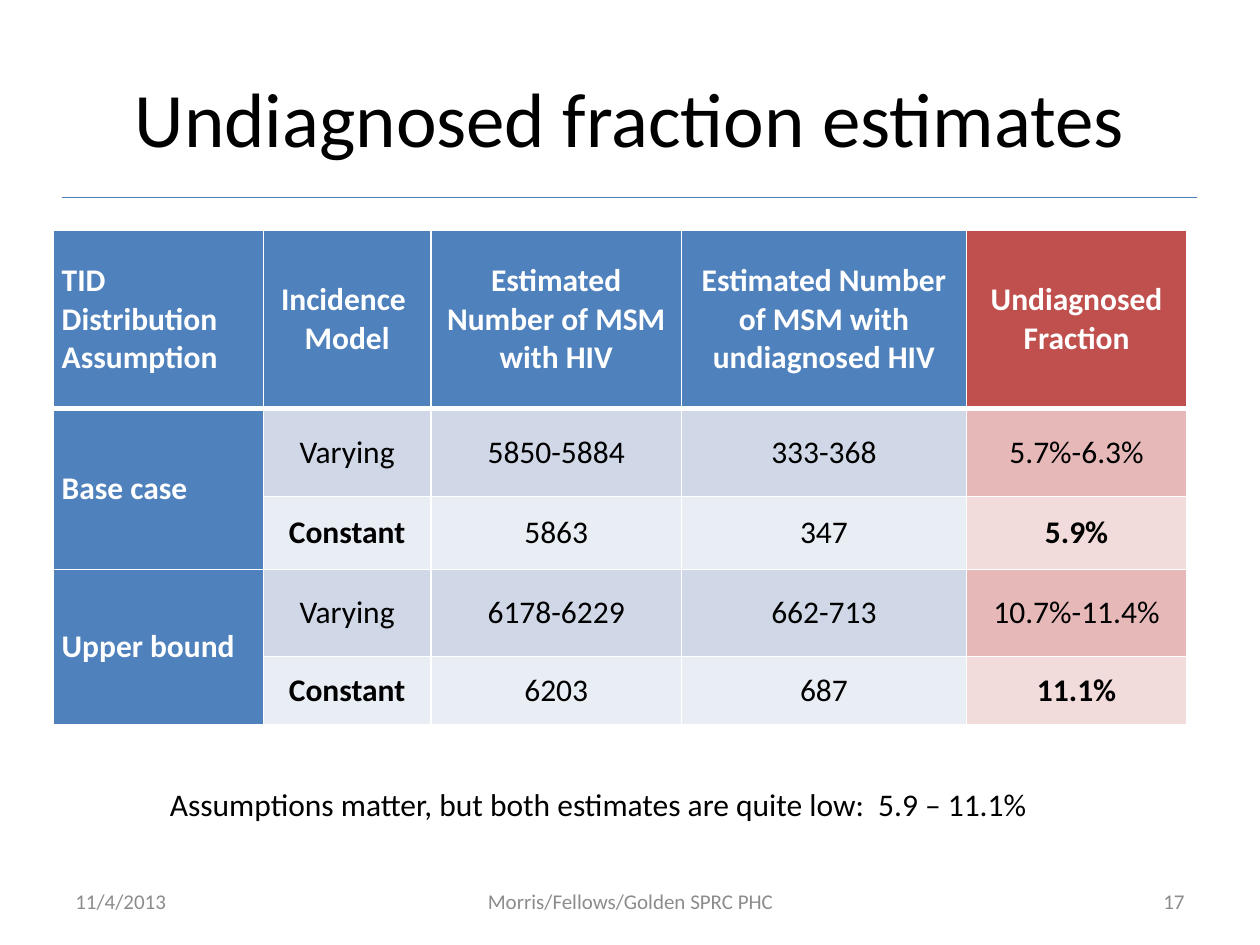
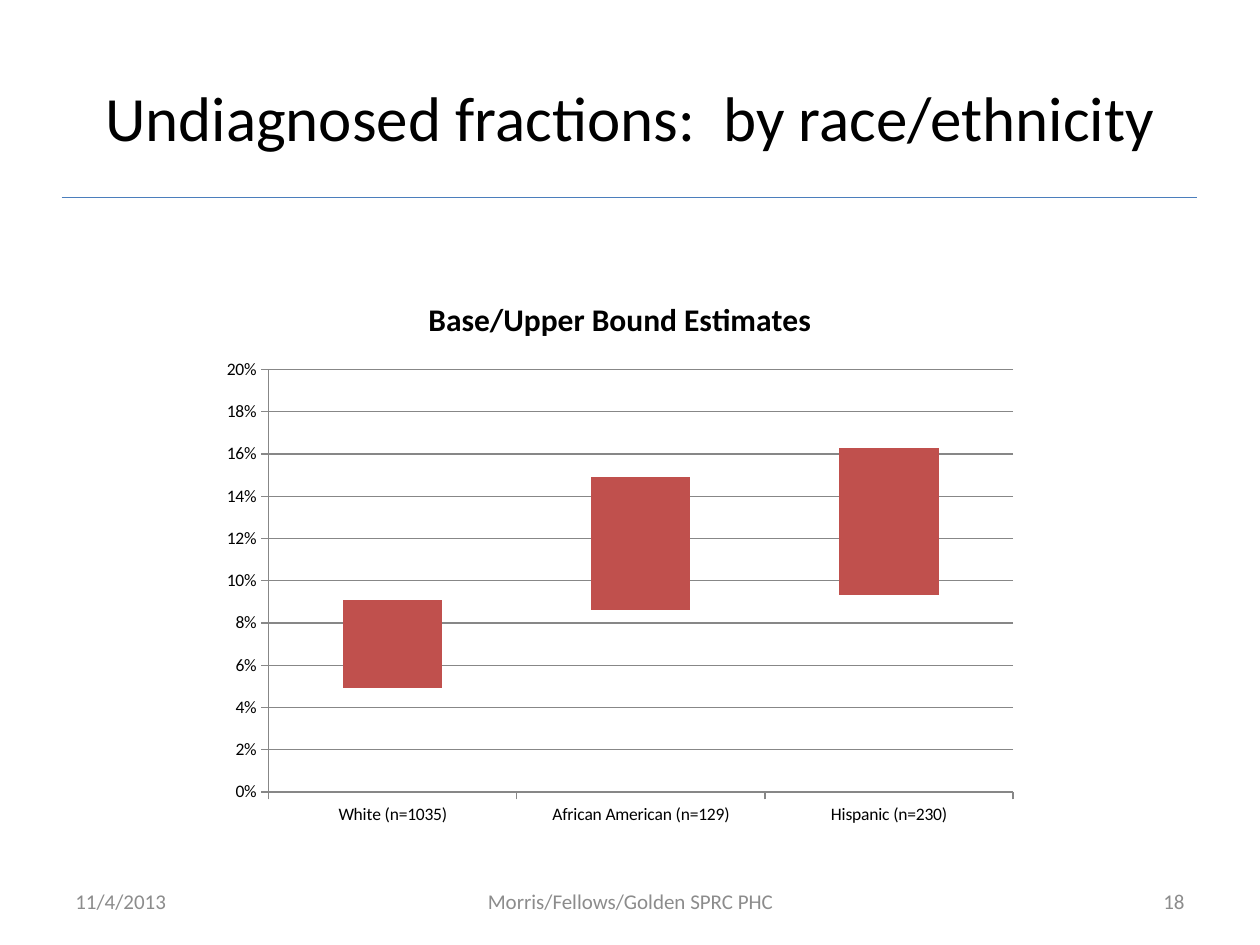
"""Build two slides on undiagnosed fraction estimates."""
import pptx
import pptx.util
import pptx.chart.data
import pptx.dml.color
import pptx.enum.chart
import pptx.enum.shapes
import pptx.enum.text
import pptx.oxml
import pptx.oxml.ns

Inches, Pt = pptx.util.Inches, pptx.util.Pt
RGBColor = pptx.dml.color.RGBColor
Align = pptx.enum.text.PP_ALIGN
Middle = pptx.enum.text.MSO_ANCHOR.MIDDLE
LEFT, MID, RIGHT = Align.LEFT, Align.CENTER, Align.RIGHT

FONT = "Calibri"
BLACK = RGBColor(0, 0, 0)
WHITE = RGBColor(255, 255, 255)
GRAY = RGBColor(0x8C, 0x8C, 0x8C)
GRID = RGBColor(0x87, 0x87, 0x87)
RULE = RGBColor(0x4B, 0x7E, 0xBC)
BLUE = RGBColor(0x4F, 0x81, 0xBD)
RED = RGBColor(0xC0, 0x50, 0x4D)
BANDS = [(RGBColor(0xD0, 0xD8, 0xE8), RGBColor(0xE6, 0xB9, 0xB8)),
         (RGBColor(0xE9, 0xED, 0xF4), RGBColor(0xF2, 0xDC, 0xDB))]

DATE = "11/4/2013"
FOOT = "Morris/Fellows/Golden SPRC PHC"
NOTE = "Assumptions matter, but both estimates are quite low:  5.9 – 11.1%"
ROWS = [
    ("TID Distribution Assumption", "Incidence \nModel",
     "Estimated Number of MSM with HIV",
     "Estimated Number of MSM with undiagnosed HIV", "Undiagnosed Fraction"),
    ("Base case", "Varying", "5850-5884", "333-368", "5.7%-6.3%"),
    ("", "Constant", "5863", "347", "5.9%"),
    ("Upper bound", "Varying", "6178-6229", "662-713", "10.7%-11.4%"),
    ("", "Constant", "6203", "687", "11.1%"),
]
WIDTHS = [1.67, 1.33, 1.99, 2.26, 1.75]
HEIGHTS = [1.41, 0.7, 0.58, 0.69, 0.54]
GROUPS = ["White (n=1035)", "African American (n=129)", "Hispanic (n=230)"]
SERIES = [("Series 1", (0.049, 0.086, 0.093), None),
          ("Series 2", (0.042, 0.063, 0.07), RED),
          ("Series 3", (0.909, 0.851, 0.837), None)]


def style(font, size, color, bold=False):
    font.name, font.size, font.bold = FONT, Pt(size), bold
    font.color.rgb = color


def label(slide, text, box, size, color=BLACK, align=LEFT, anchor=Middle):
    frame = slide.shapes.add_textbox(*map(Inches, box)).text_frame
    frame.word_wrap = True
    frame.vertical_anchor = anchor
    para = frame.paragraphs[0]
    para.text, para.alignment = text, align
    style(para.font, size, color)


def start(deck, title, size, number):
    slide = deck.slides.add_slide(deck.slide_layouts[6])
    line = slide.shapes.add_connector(
        pptx.enum.shapes.MSO_CONNECTOR.STRAIGHT,
        *map(Inches, (0.49, 1.57, 9.5, 1.57)))
    line.line.color.rgb, line.line.width = RULE, Pt(0.75)
    props = line._element.spPr
    props.append(pptx.oxml.parse_xml(
        "<a:effectLst %s/>" % pptx.oxml.ns.nsdecls("a")))
    label(slide, title, (0.5, 0.3, 9, 1.25), size, align=MID)
    for text, left, width, align in [(DATE, 0.5, 2.33, LEFT),
                                     (FOOT, 3.42, 3.17, MID),
                                     (str(number), 7.17, 2.33, RIGHT)]:
        label(slide, text, (left, 6.95, width, 0.4), 12, GRAY, align)
    return slide


def border(cell, side, width):
    cell._tc.get_or_add_tcPr().append(pptx.oxml.parse_xml(
        '<a:ln%s %s w="%d"><a:solidFill><a:srgbClr val="%s"/></a:solidFill>'
        "</a:ln%s>" % (side, pptx.oxml.ns.nsdecls("a"), Pt(width), WHITE,
                       side)))


def paint(cell, row, col, text):
    last = col == len(WIDTHS) - 1
    head = row == 0 or col == 0
    for side in "LRTB":
        thick = (row, side) in [(0, "B"), (1, "T")]
        border(cell, side, 3 if thick else 1)
    cell.fill.solid()
    if head:
        cell.fill.fore_color.rgb = RED if last else BLUE
    else:
        cell.fill.fore_color.rgb = BANDS[(row - 1) % 2][last]
    cell.vertical_anchor = Middle
    cell.margin_left = cell.margin_right = Inches(0.07)
    cell.margin_top = cell.margin_bottom = 0
    cell.text = text
    bold = head or (row % 2 == 0 and (col == 1 or last))
    for para in cell.text_frame.paragraphs:
        para.alignment = MID if col else LEFT
        style(para.font, 18, WHITE if head else BLACK, bold)


def add_grid(slide):
    grid = slide.shapes.add_table(
        len(ROWS), len(WIDTHS), Inches(0.42), Inches(1.83),
        Inches(sum(WIDTHS)), Inches(sum(HEIGHTS))).table
    for col, width in zip(grid.columns, WIDTHS):
        col.width = Inches(width)
    for row, height in zip(grid.rows, HEIGHTS):
        row.height = Inches(height)
    for row, texts in enumerate(ROWS):
        for col, text in enumerate(texts):
            paint(grid.cell(row, col), row, col, text)
    for row in (1, 3):
        grid.cell(row, 0).merge(grid.cell(row + 1, 0))


def add_bars(slide):
    data = pptx.chart.data.CategoryChartData(number_format="0.0%")
    data.categories = GROUPS
    for name, values, color in SERIES:
        data.add_series(name, values)
    chart = slide.shapes.add_chart(
        pptx.enum.chart.XL_CHART_TYPE.COLUMN_STACKED,
        *map(Inches, (1.67, 2.17, 6.5, 4.46)), data).chart
    style(chart.font, 10, BLACK)
    chart.has_legend = False
    chart.has_title = True
    para = chart.chart_title.text_frame.paragraphs[0]
    para.text = "Base/Upper Bound Estimates"
    style(para.font, 18, BLACK, True)
    plot = chart.plots[0]
    plot.gap_width, plot.overlap = 150, 100
    plot.vary_by_categories = False
    for bar, (name, values, color) in zip(plot.series, SERIES):
        if color is None:
            bar.format.fill.background()
        else:
            bar.format.fill.solid()
            bar.format.fill.fore_color.rgb = color
        bar.format.line.fill.background()
    side = chart.value_axis
    side.minimum_scale, side.maximum_scale, side.major_unit = 0, 0.2, 0.02
    side.has_major_gridlines = True
    side.tick_labels.number_format = "0%"
    side.tick_labels.number_format_is_linked = False
    for axis in (side, chart.category_axis):
        axis.major_tick_mark = pptx.enum.chart.XL_TICK_MARK.OUTSIDE
        axis.minor_tick_mark = pptx.enum.chart.XL_TICK_MARK.NONE
    for part in (side, chart.category_axis, side.major_gridlines):
        part.format.line.color.rgb = GRID
        part.format.line.width = Pt(0.75)


deck = pptx.Presentation()
deck.slide_width, deck.slide_height = Inches(10), Inches(7.5)
slide = start(deck, "Undiagnosed fraction estimates", 44, 17)
add_grid(slide)
label(slide, NOTE, (1.25, 6.18, 7.09, 0.4), 18,
      anchor=pptx.enum.text.MSO_ANCHOR.TOP)
slide = start(deck, "Undiagnosed fractions:  by race/ethnicity", 36, 18)
add_bars(slide)
deck.save("out.pptx")
